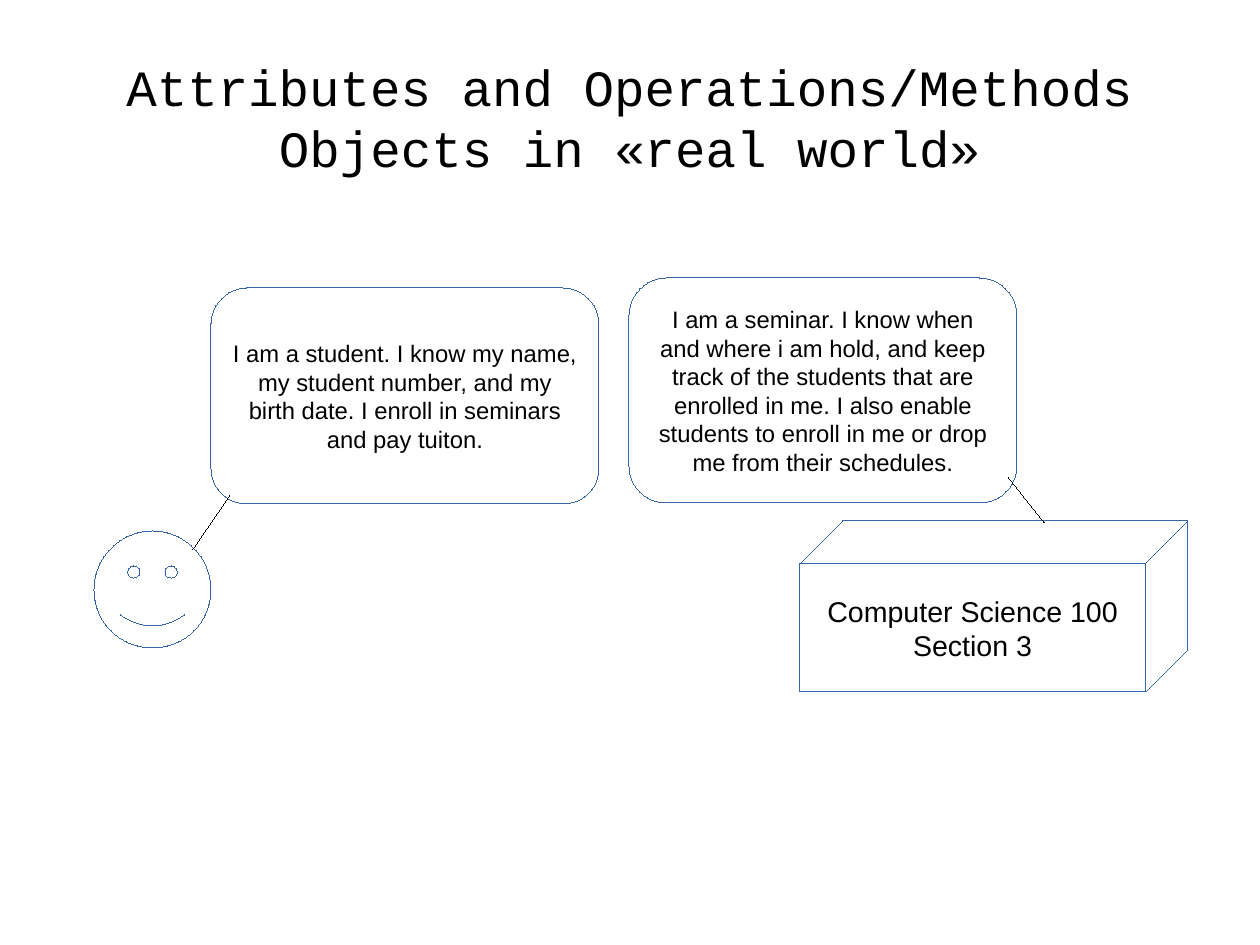
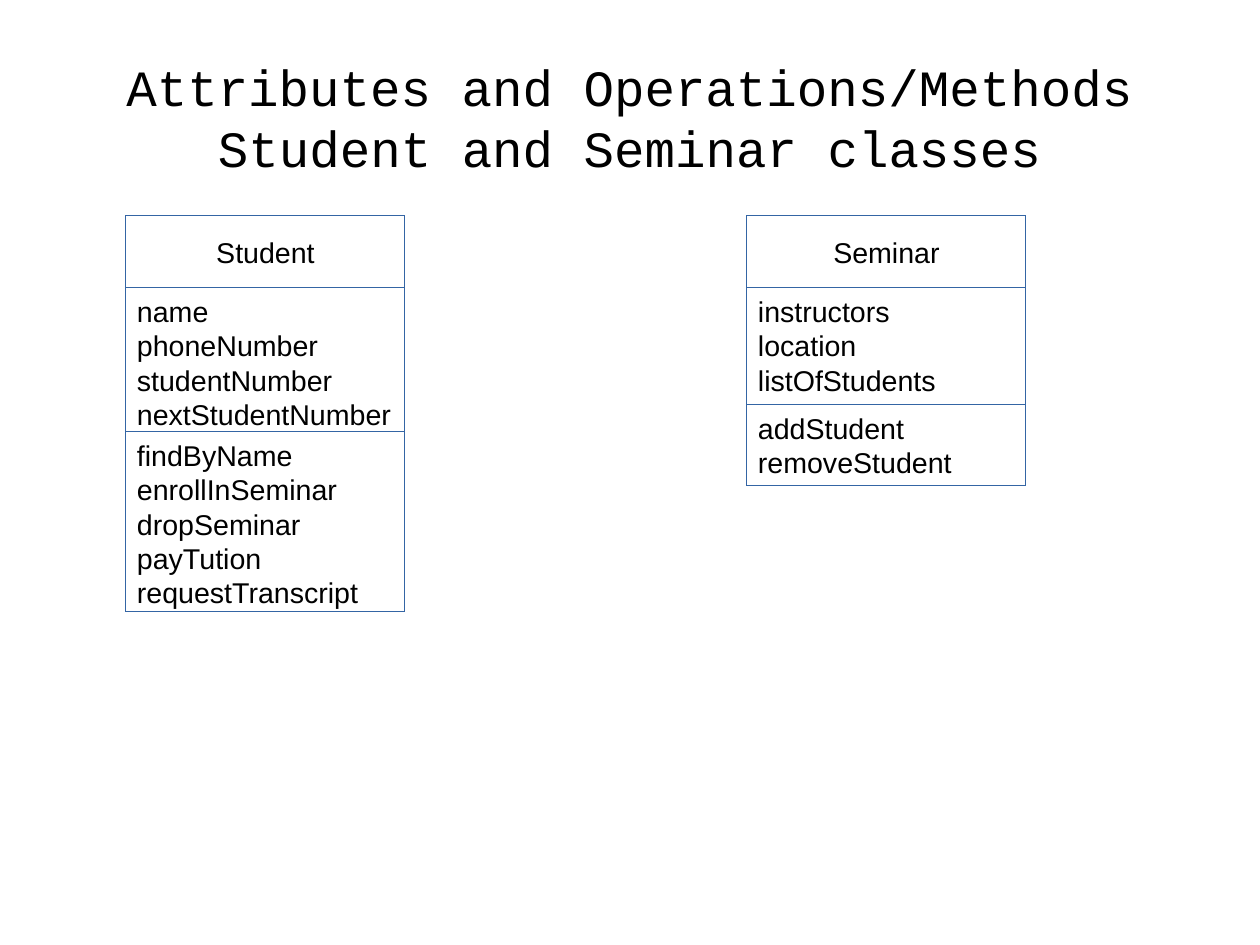
from lxml.etree import SubElement
from pptx import Presentation
from pptx.dml.color import RGBColor
from pptx.enum.shapes import MSO_CONNECTOR as Connector, MSO_SHAPE as Preset
from pptx.enum.text import MSO_ANCHOR as Anchor, PP_ALIGN as Align
from pptx.oxml.ns import qn
from pptx.util import Emu, Pt

PX = 8000
HAIRLINE = Emu(1)
COLORS = {"outline": "3465A4", "ink": "000000"}
TITLE_BOX = (63, 38, 1134, 158)
TITLE_FIRST_LINE = "Attributes and Operations/Methods"
FORMATS = {
    "title": {"name": "Courier New", "size": Pt(32)},
    "speech": {"name": "Arial", "size": Pt(15)},
    "label": {"name": "Arial", "size": Pt(18)},
}
CENTERED = {"align": Align.CENTER, "anchor": Anchor.MIDDLE}
LISTED = {"align": Align.LEFT, "anchor": Anchor.TOP}
PADDING = {"margin_left": 11, "margin_top": 6, "margin_right": 0, "margin_bottom": 6}
EVEN_PADDING = {**PADDING, "margin_right": 11}
NO_PADDING = dict.fromkeys(PADDING, 0)

STUDENT_SPEECH = (
    "I am a student. I know my name, my student number, and my birth date. "
    "I enroll in seminars and pay tuiton."
)
SEMINAR_SPEECH = (
    "I am a seminar. I know when and where i am hold, and keep track of the "
    "students that are enrolled in me. I also enable students to enroll in me "
    "or drop me from their schedules."
)
STUDENT_CLASS = [
    (72, ["Student"]),
    (144, ["name", "phoneNumber", "studentNumber", "nextStudentNumber"]),
    (180, ["findByName", "enrollInSeminar", "dropSeminar", "payTution", "requestTranscript"]),
]
SEMINAR_CLASS = [
    (72, ["Seminar"]),
    (117, ["instructors", "location", "listOfStudents"]),
    (81, ["addStudent", "removeStudent"]),
]


def px(*lengths):
    """Turn px lengths into EMU."""
    return [Emu(length * PX) for length in lengths]


def color(name):
    """Look up a named colour."""
    return RGBColor.from_string(COLORS[name])


def write(shape, lines, style, layout=CENTERED, padding=EVEN_PADDING):
    """Fill a shape with formatted paragraphs."""
    frame = shape.text_frame
    frame.word_wrap = True
    frame.vertical_anchor = layout["anchor"]
    for side, length in padding.items():
        setattr(frame, side, Emu(length * PX))
    frame.text = "\n".join(lines)
    for paragraph in frame.paragraphs:
        paragraph.alignment = layout["align"]
        paragraph.line_spacing = Pt(FORMATS[style]["size"].pt * 1.2)
        for attribute, value in FORMATS[style].items():
            setattr(paragraph.font, attribute, value)
        paragraph.font.color.rgb = color("ink")


def add_outline(slide, preset, box):
    """Add an unfilled preset shape with a hairline border."""
    shape = slide.shapes.add_shape(preset, *px(*box))
    shape.shadow.inherit = False
    shape.fill.background()
    shape.line.color.rgb = color("outline")
    shape.line.width = HAIRLINE
    return shape


def add_pointer(slide, start, end):
    """Draw a hairline between a bubble and its speaker."""
    pointer = slide.shapes.add_connector(Connector.STRAIGHT, *px(*start, *end))
    pointer.line.color.rgb = color("ink")
    pointer.line.width = HAIRLINE
    SubElement(pointer.element.spPr, qn("a:effectLst"))


def add_bubble(slide, box, speech):
    """Add a rounded speech bubble."""
    write(add_outline(slide, Preset.ROUNDED_RECTANGLE, box), [speech], "speech")


def add_class(slide, left, top, width, compartments):
    """Stack the name, attributes and operations of a class."""
    for index, (height, lines) in enumerate(compartments):
        shape = add_outline(slide, Preset.RECTANGLE, (left, top, width, height))
        if index:
            write(shape, lines, "label", LISTED, PADDING)
        else:
            write(shape, lines, "label")
        top += height


def add_titled_slide(presentation, subtitle):
    """Add a blank slide with the shared two-line title."""
    slide = presentation.slides.add_slide(presentation.slide_layouts[6])
    title = slide.shapes.add_textbox(*px(*TITLE_BOX))
    write(title, [f"{TITLE_FIRST_LINE}\v{subtitle}"], "title", padding=NO_PADDING)
    return slide


def build_objects_slide(presentation):
    """Show a student and a seminar introducing themselves."""
    slide = add_titled_slide(presentation, "Objects in «real world»")
    add_outline(slide, Preset.SMILEY_FACE, (94, 531, 117, 117))
    add_bubble(slide, (211, 288, 388, 216), STUDENT_SPEECH)
    add_pointer(slide, (193, 549), (230, 495))
    cube = add_outline(slide, Preset.CUBE, (800, 521, 388, 171))
    write(cube, ["Computer Science 100\vSection 3"], "label")
    add_bubble(slide, (629, 278, 388, 225), SEMINAR_SPEECH)
    add_pointer(slide, (1044, 522), (1008, 477))


def build_classes_slide(presentation):
    """Show the two class diagrams side by side."""
    slide = add_titled_slide(presentation, "Student and Seminar classes")
    for left, compartments in ((126, STUDENT_CLASS), (747, SEMINAR_CLASS)):
        add_class(slide, left, 216, 279, compartments)


def main():
    """Build and save the presentation."""
    presentation = Presentation()
    presentation.slide_width, presentation.slide_height = px(1260, 945)
    build_objects_slide(presentation)
    build_classes_slide(presentation)
    presentation.save("out.pptx")


if __name__ == "__main__":
    main()
